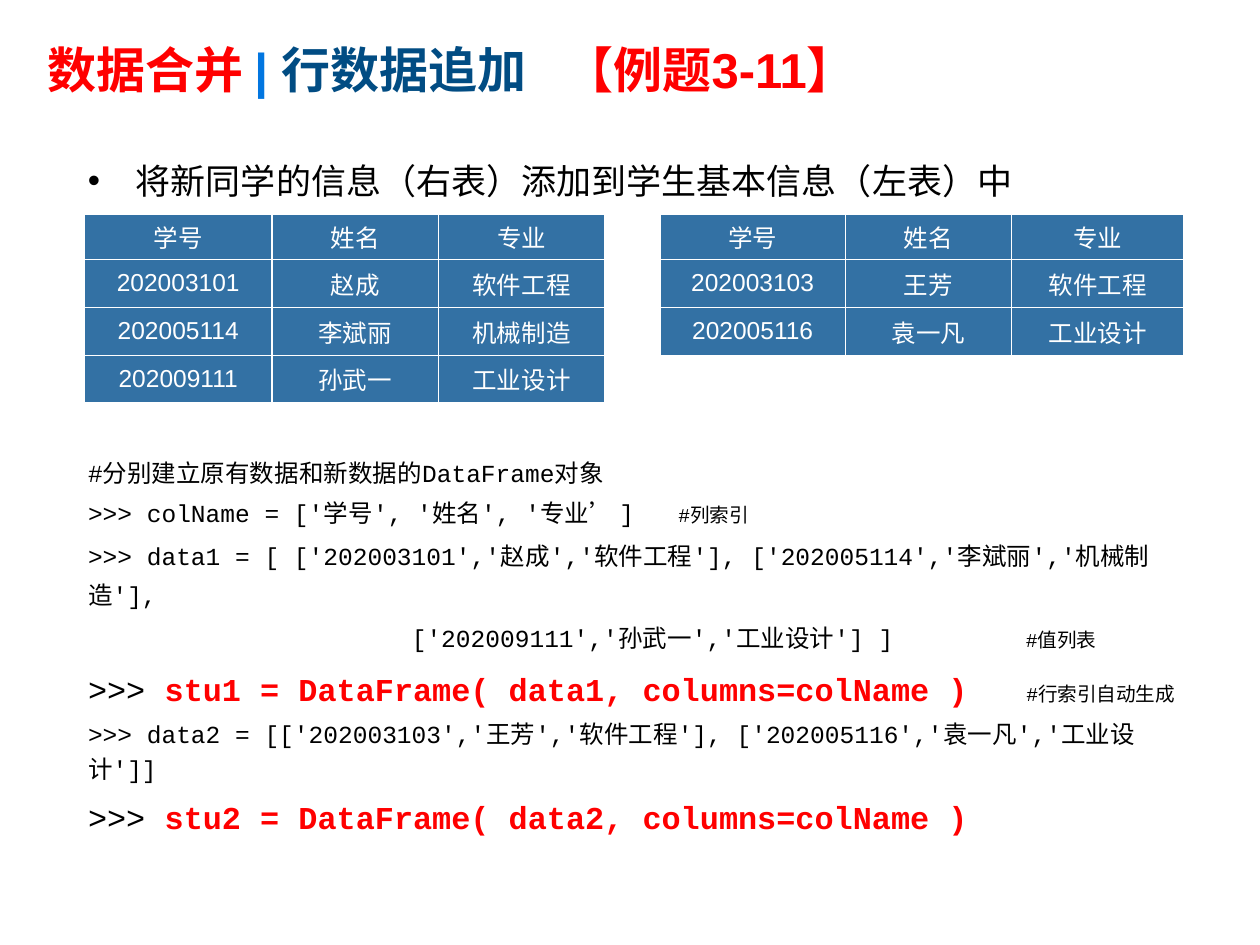
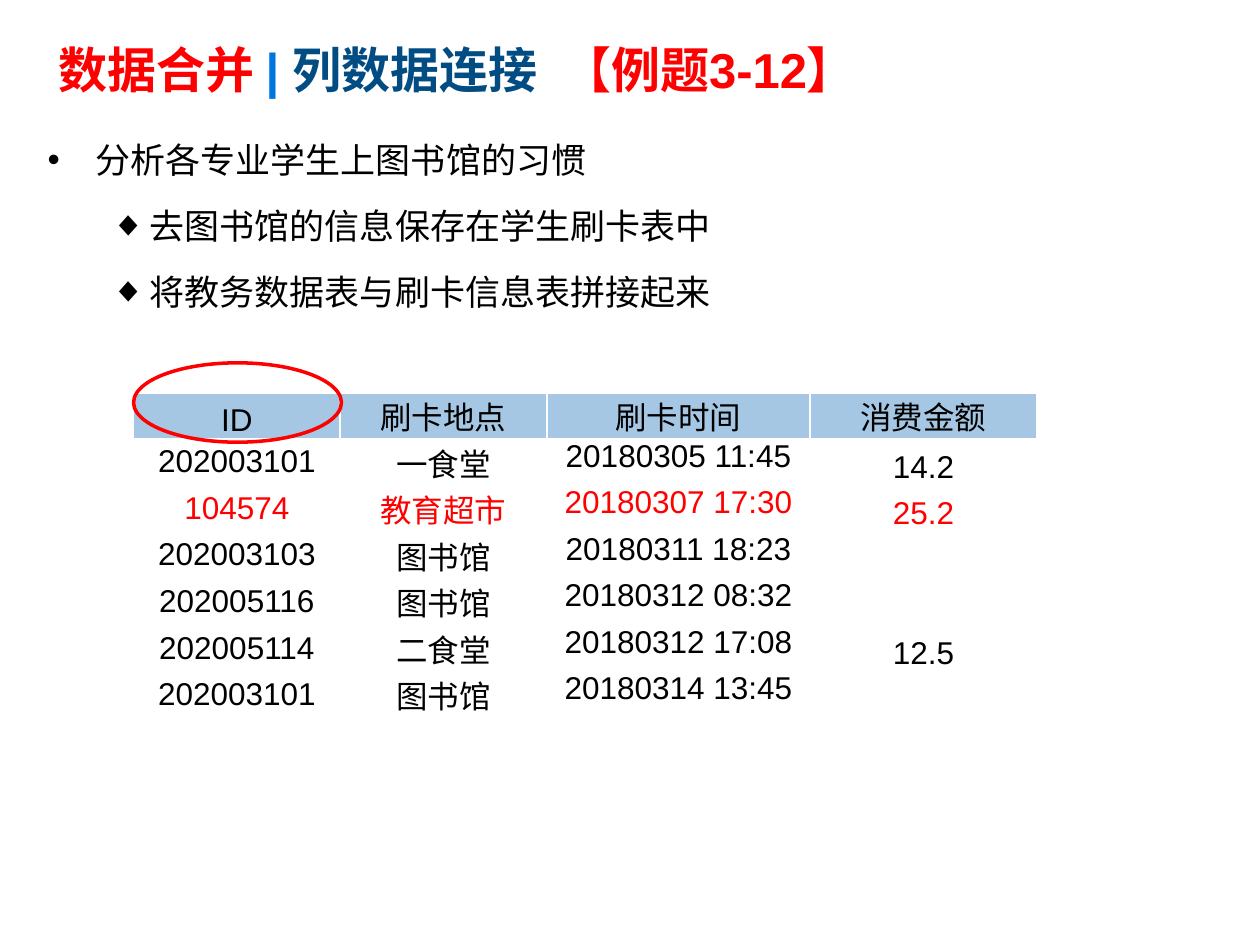
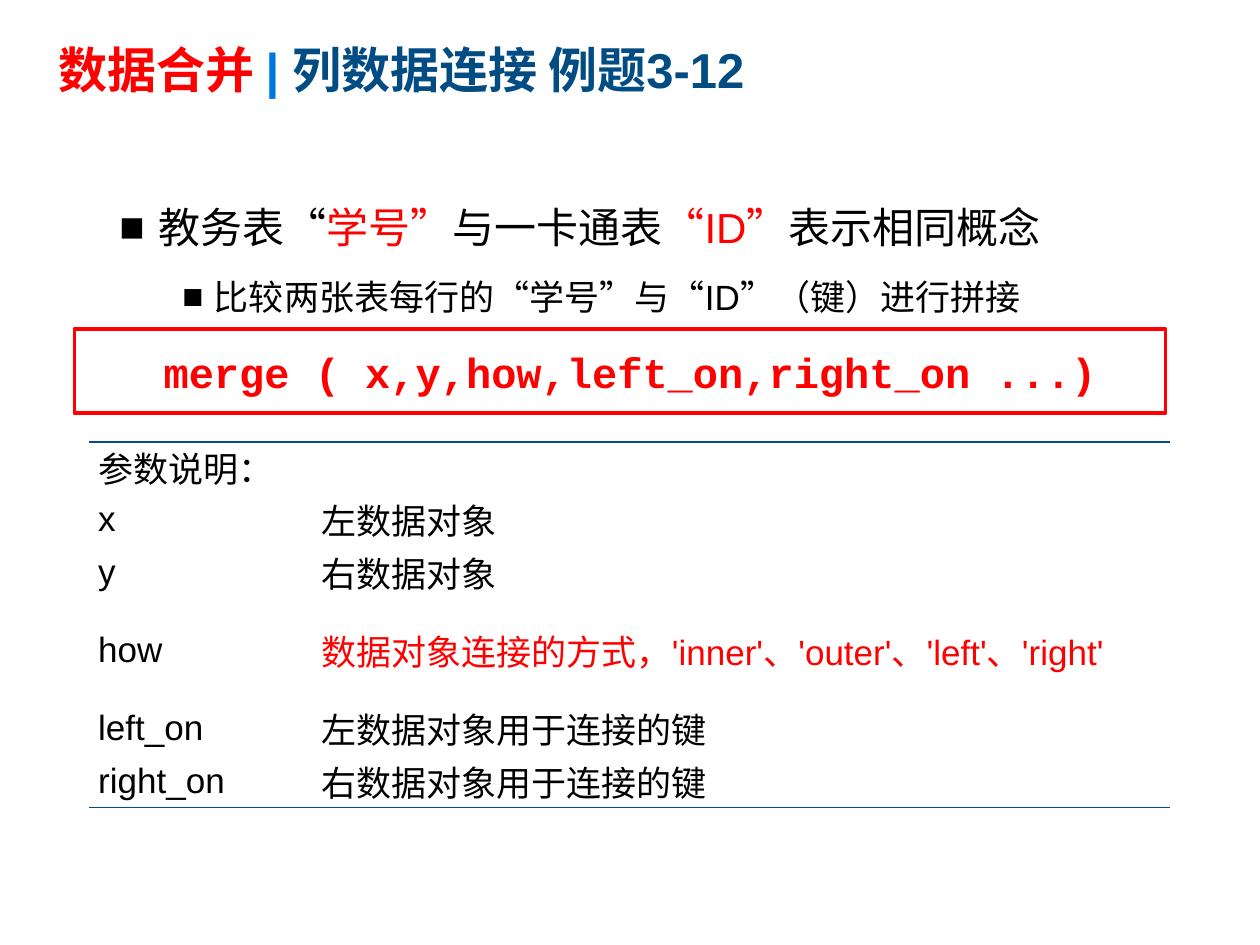
from dataclasses import dataclass
from typing import Any, NamedTuple

from lxml import etree
from pptx import Presentation
from pptx.dml.color import RGBColor
from pptx.enum.lang import MSO_LANGUAGE_ID
from pptx.enum.shapes import MSO_SHAPE
from pptx.enum.text import MSO_ANCHOR, PP_ALIGN
from pptx.oxml.ns import qn
from pptx.util import Inches, Pt

RED = RGBColor(0xFF, 0x00, 0x00)
BLACK = RGBColor(0x00, 0x00, 0x00)
WHITE = RGBColor(0xFF, 0xFF, 0xFF)
BRIGHT_BLUE = RGBColor(0x02, 0x76, 0xE0)
TITLE_BLUE = RGBColor(0x01, 0x4C, 0x83)
RULE_BLUE = RGBColor(0x01, 0x4C, 0x8D)
CELL_BLUE = RGBColor(0x33, 0x71, 0xA4)
HEADER_BLUE = RGBColor(0xA5, 0xC7, 0xE3)
SANS = "Arial"
MONO = "Courier New"
ALL_SIDES = "LRTB"
TOP, MIDDLE, BOTTOM = MSO_ANCHOR.TOP, MSO_ANCHOR.MIDDLE, MSO_ANCHOR.BOTTOM
CENTER, JUSTIFY = PP_ALIGN.CENTER, PP_ALIGN.JUSTIFY
ELLIPSE, RECTANGLE = MSO_SHAPE.OVAL, MSO_SHAPE.RECTANGLE
CHINESE = MSO_LANGUAGE_ID.SIMPLIFIED_CHINESE


class Area(NamedTuple):
    left: float
    top: float
    width: float
    height: float


class Span(NamedTuple):
    text: str
    size: float = 20
    color: RGBColor = BLACK
    bold: bool = False
    font: str = SANS
    tracking: float = 0


@dataclass
class Para:
    spans: list[Span]
    spacing: float = 1.4
    level: int = 0
    margin: float = 0
    indent: float = 0
    bullet: str = ""


@dataclass
class Grid:
    area: Area
    columns: list[float]
    heights: list[float]
    rows: list[list[str]]
    size: float
    align: Any


def set_values(target: Any, values: dict[str, Any]) -> None:
    for name, value in values.items():
        setattr(target, name, value)


def add_span(paragraph: Any, span: Span) -> None:
    run = paragraph.add_run()
    run.text = span.text
    set_values(run.font, {
        "name": span.font, "size": Pt(span.size), "bold": span.bold,
        "language_id": CHINESE,
    })
    run.font.color.rgb = span.color
    if span.tracking:
        run._r.get_or_add_rPr().set("spc", str(round(span.tracking * 100)))


def format_para(paragraph: Any, para: Para) -> None:
    largest = max(span.size for span in para.spans)
    set_values(paragraph, {
        "level": para.level, "line_spacing": para.spacing,
        "space_before": Pt(round(0.2 * largest, 1)),
    })
    properties = paragraph._p.get_or_add_pPr()
    properties.set("marL", str(Inches(para.margin)))
    properties.set("indent", str(Inches(para.indent)))
    if para.bullet:
        etree.SubElement(properties, qn("a:buFont"), typeface=SANS)
        etree.SubElement(properties, qn("a:buChar"), char=para.bullet)
    for span in para.spans:
        add_span(paragraph, span)


def add_text(page: Any, area: Area, paras: list[Para], anchor: Any = TOP) -> None:
    frame = page.shapes.add_textbox(*map(Inches, area)).text_frame
    set_values(frame, {"word_wrap": True, "vertical_anchor": anchor})
    for index, para in enumerate(paras):
        paragraph = frame.add_paragraph() if index else frame.paragraphs[0]
        format_para(paragraph, para)


def add_title(page: Any, topic: str, example: str = "", lead: str = "", gap: float = 0) -> None:
    pieces = [(f"{lead}数据合并 ", RED), ("| ", BRIGHT_BLUE), (topic, TITLE_BLUE)]
    spans = [Span(text, 28, color, True) for text, color in pieces]
    if example:
        spans += [Span(" ", 28, TITLE_BLUE, True, tracking=gap), Span(example, 28, RED, True)]
    add_text(page, Area(0.28, 0.01, 8.58, 0.98), [Para(spans, 1.2)], MIDDLE)


def add_outline(page: Any, kind: Any, area: Area) -> None:
    shape = page.shapes.add_shape(kind, *map(Inches, area))
    shape.shadow.inherit = False
    shape.fill.background()
    shape.line.color.rgb = RED
    shape.line.width = Pt(2)


def add_grid(page: Any, grid: Grid) -> Any:
    frame = page.shapes.add_table(len(grid.rows), len(grid.columns), *map(Inches, grid.area))
    table = frame.table
    set_values(table, {"first_row": False, "horz_banding": False})
    for column, width in zip(table.columns, grid.columns):
        column.width = Inches(width)
    for row, height, texts in zip(table.rows, grid.heights, grid.rows):
        row.height = Inches(height)
        for cell, text in zip(row.cells, texts):
            set_values(cell, {
                "margin_left": Inches(0.07), "margin_right": Inches(0.07),
                "margin_top": 0, "margin_bottom": 0, "vertical_anchor": MIDDLE,
            })
            cell.fill.background()
            paragraph = cell.text_frame.paragraphs[0]
            paragraph.alignment = grid.align
            paragraph.font.size = Pt(grid.size)
            if text:
                add_span(paragraph, Span(text, grid.size))
    return table


def color_text(cell: Any, color: RGBColor) -> None:
    for run in cell.text_frame.paragraphs[0].runs:
        run.font.color.rgb = color


def fill_cell(cell: Any, color: RGBColor) -> None:
    cell.fill.solid()
    cell.fill.fore_color.rgb = color


def set_borders(cell: Any, color: RGBColor, sides: str) -> None:
    properties = cell._tc.get_or_add_tcPr()
    for position, side in enumerate(ALL_SIDES):
        line = etree.Element(qn(f"a:ln{side}"), w=str(Pt(1)))
        if side in sides:
            fill = etree.SubElement(line, qn("a:solidFill"))
            etree.SubElement(fill, qn("a:srgbClr"), val=str(color))
        else:
            etree.SubElement(line, qn("a:noFill"))
        properties.insert(position, line)


def code(text: str, size: float = 14, tracking: float = 0) -> Span:
    return Span(text, size, font=MONO, tracking=tracking)


def key_code(text: str, size: float = 18.2) -> Span:
    return Span(text, size, RED, True, MONO)


def build_append_page(page: Any) -> None:
    add_title(page, "行数据追加", "【例题3-11】", gap=15.6)
    add_text(page, Area(0.6, 3.54, 9.05, 3.12), [
        Para([code("#分别建立原有数据和新数据的DataFrame对象")], 1.2),
        Para([code(">>> colName = ['学号', '姓名', '专业’ ]"),
              code(" ", tracking=16.8), code("#列索引", 11.2)], 1.2),
        Para([code(">>> data1 = [ ['202003101','赵成','软件工程'], "
                   "['202005114','李斌丽','机械制造'],")], 1.3),
        Para([code("['202009111','孙武一','工业设计'] ]"),
              code(" ", tracking=67.2), code("#值列表", 11.2)], 1.3, margin=2.57),
        Para([code(">>> ", 18.2), key_code("stu1 = DataFrame( data1, columns=colName )"),
              code(" ", 18.2, 21.8), code("#行索引自动生成", 11.2)], 1.3),
        Para([code(">>> data2 = [['202003103','王芳','软件工程'], "
                   "['202005116','袁一凡','工业设计']]")], 1.2),
        Para([code(">>> ", 18.2), key_code("stu2 = DataFrame( data2, columns=colName )")], 1.2),
    ])
    header = ["学号", "姓名", "专业"]
    table = add_grid(page, Grid(
        Area(0.67, 1.7, 8.74, 1.5),
        [1.49, 1.32, 1.32, 0.44, 1.47, 1.32, 1.37],
        [0.36, 0.38, 0.38, 0.38],
        [
            [*header, "", *header],
            ["202003101", "赵成", "软件工程", "", "202003103", "王芳", "软件工程"],
            ["202005114", "李斌丽", "机械制造", "", "202005116", "袁一凡", "工业设计"],
            ["202009111", "孙武一", "工业设计", "", "", "", ""],
        ],
        14, CENTER,
    ))
    for cell in table.iter_cells():
        if cell.text:
            fill_cell(cell, CELL_BLUE)
            color_text(cell, WHITE)
            set_borders(cell, WHITE, ALL_SIDES)
    table.cell(3, 3).merge(table.cell(3, 6))
    add_text(page, Area(0.6, 1.08, 9.13, 0.78), [
        Para([Span("将新同学的信息（右表）添加到学生基本信息（左表）中")],
             margin=0.38, indent=-0.38, bullet="•"),
    ])


def build_swipe_page(page: Any) -> None:
    add_title(page, "列数据连接", "【例题3-12】", " ", 7.8)
    steps = ["去图书馆的信息保存在学生刷卡表中", "将教务数据表与刷卡信息表拼接起来"]
    add_text(page, Area(0.28, 0.92, 9.53, 1.1), [
        Para([Span("分析各专业学生上图书馆的习惯")], margin=0.38, indent=-0.38, bullet="•"),
        *(Para([Span(step)], level=1, margin=0.81, indent=-0.31, bullet="◆") for step in steps),
    ])
    table = add_grid(page, Grid(
        Area(1.06, 3.12, 7.17, 2.58),
        [1.64, 1.64, 2.09, 1.8],
        [0.36] + [0.37] * 6,
        [
            ["ID", "刷卡地点", "刷卡时间", "消费金额"],
            ["202003101", "一食堂", "20180305 11:45", "14.2"],
            ["104574", "教育超市", "20180307 17:30", "25.2"],
            ["202003103", "图书馆", "20180311 18:23", ""],
            ["202005116", "图书馆", "20180312 08:32", ""],
            ["202005114", "二食堂", "20180312 17:08", "12.5"],
            ["202003101", "图书馆", "20180314 13:45", ""],
        ],
        18, CENTER,
    ))
    for row in table.rows:
        for cell, anchor in zip(row.cells, [MIDDLE, BOTTOM, TOP, BOTTOM]):
            cell.vertical_anchor = anchor
            set_borders(cell, WHITE, ALL_SIDES)
    table.cell(0, 0).vertical_anchor = BOTTOM
    for cell in table.rows[0].cells:
        fill_cell(cell, HEADER_BLUE)
    for cell in table.rows[2].cells:
        color_text(cell, RED)
    add_outline(page, ELLIPSE, Area(1.06, 2.88, 1.65, 0.63))


def build_merge_page(page: Any) -> None:
    add_title(page, "列数据连接 例题3-12", lead=" ")
    table = add_grid(page, Grid(
        Area(0.71, 3.51, 8.58, 2.9),
        [1.77, 6.81],
        [0.4, 0.42, 0.42, 0.82, 0.42, 0.42],
        [
            ["参数说明：", ""],
            ["x", "左数据对象"],
            ["y", "右数据对象"],
            ["how", "数据对象连接的方式，'inner'、'outer'、'left'、'right'"],
            ["left_on", "左数据对象用于连接的键"],
            ["right_on", "右数据对象用于连接的键"],
        ],
        20, JUSTIFY,
    ))
    color_text(table.cell(3, 1), RED)
    table.cell(0, 0).vertical_anchor = TOP
    for row, sides in zip(table.rows, ["T", "", "", "", "", "B"]):
        for cell in row.cells:
            set_borders(cell, RULE_BLUE, sides)
    concept = [("教务表“", BLACK), ("学号”", RED), ("与一卡通表", BLACK),
               ("“ID”", RED), ("表示相同概念", BLACK)]
    add_text(page, Area(0.35, 1.39, 9.53, 1.22), [
        Para([Span(text, 24, color) for text, color in concept],
             level=1, margin=0.81, indent=-0.31, bullet="■"),
        Para([Span("比较两张表每行的“学号”与“ID”（键）进行拼接")],
             level=2, margin=1.25, indent=-0.25, bullet="■"),
        Para([key_code("merge ( x,y,how,left_on,right_on ...)", 24)], margin=0.85),
    ])
    add_outline(page, RECTANGLE, Area(0.59, 2.61, 8.66, 0.67))


def main() -> None:
    deck = Presentation()
    set_values(deck, {"slide_width": Inches(10), "slide_height": Inches(7.5)})
    for build in (build_append_page, build_swipe_page, build_merge_page):
        build(deck.slides.add_slide(deck.slide_layouts[6]))
    deck.save("out.pptx")


if __name__ == "__main__":
    main()
